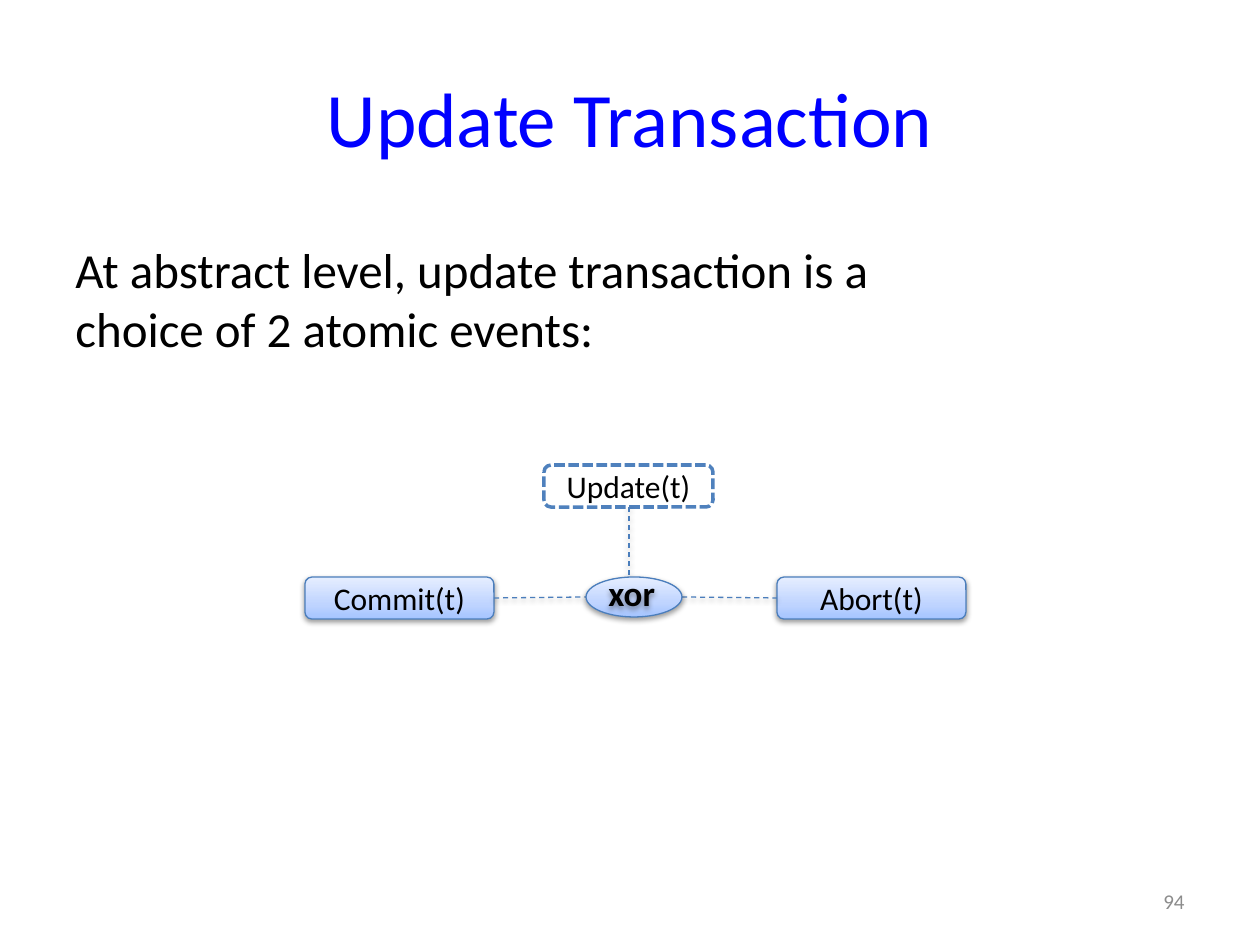
from dataclasses import dataclass

from lxml import etree
from pptx import Presentation
from pptx.dml.color import RGBColor
from pptx.enum.dml import MSO_LINE
from pptx.enum.shapes import MSO_CONNECTOR, MSO_SHAPE
from pptx.enum.text import MSO_ANCHOR, MSO_AUTO_SIZE, PP_ALIGN
from pptx.oxml.ns import qn
from pptx.util import Pt

LEFT, CENTER, RIGHT = PP_ALIGN.LEFT, PP_ALIGN.CENTER, PP_ALIGN.RIGHT
TOP, MIDDLE = MSO_ANCHOR.TOP, MSO_ANCHOR.MIDDLE
ROUNDED, OVAL = MSO_SHAPE.ROUNDED_RECTANGLE, MSO_SHAPE.OVAL
DASH, SQUARE_DASH = MSO_LINE.DASH, MSO_LINE.SQUARE_DOT
STRAIGHT = MSO_CONNECTOR.STRAIGHT
FIT_SHAPE, NO_FIT = MSO_AUTO_SIZE.SHAPE_TO_FIT_TEXT, MSO_AUTO_SIZE.NONE
BLANK_LAYOUT = 6
PX_PER_INCH = 126


@dataclass(frozen=True)
class Theme:
    font: str = "Calibri"
    title: str = "0000FF"
    text: str = "000000"
    number: str = "8C8C8C"
    paper: str = "FFFFFF"
    outline: str = "4B7EBC"
    accent: str = "4F81BD"
    gradient: tuple = ((0, "A4C4FF"), (35, "BFD4FF"), (100, "E6EEFF"))
    title_size: int = 44
    body_size: int = 28
    operator_size: int = 20
    event_size: int = 18
    number_size: int = 12


def emu(px):
    return round(px * 914400 / PX_PER_INCH)


def write_text(frame, text, *, size, color, font, align=LEFT, anchor=TOP,
               bold=False, wrap=True, fit=NO_FIT):
    """Write one paragraph for each line of text."""
    frame.word_wrap = wrap
    frame.auto_size = fit
    frame.vertical_anchor = anchor
    for index, line in enumerate(text.split("\n")):
        para = frame.paragraphs[0] if index == 0 else frame.add_paragraph()
        para.alignment = align
        span = para.add_run()
        span.text = line
        span.font.name = font
        span.font.size = Pt(size)
        span.font.bold = bold
        span.font.color.rgb = RGBColor.from_string(color)


class SlideBuilder:
    def __init__(self, slide, theme):
        self.slide = slide
        self.theme = theme

    def shadow(self, item):
        effects = etree.SubElement(item._element.spPr, qn("a:effectLst"))
        outer = etree.SubElement(effects, qn("a:outerShdw"), blurRad="40000",
                                 dist="20000", dir="5400000", rotWithShape="0")
        color = etree.SubElement(outer, qn("a:srgbClr"), val="000000")
        etree.SubElement(color, qn("a:alpha"), val="38000")

    def gradient(self, shape):
        shape.fill.gradient()
        shape.fill.gradient_angle = 90
        stops = shape._element.spPr.find(".//" + qn("a:gsLst"))
        for stop in list(stops):
            stops.remove(stop)
        for percent, value in self.theme.gradient:
            stop = etree.SubElement(stops, qn("a:gs"), pos=str(percent * 1000))
            etree.SubElement(stop, qn("a:srgbClr"), val=value)

    def stroke(self, line, color, width, dash=None):
        line.color.rgb = RGBColor.from_string(color)
        line.width = Pt(width)
        if dash is not None:
            line.dash_style = dash

    def text(self, area, text, **style):
        box = self.slide.shapes.add_textbox(*map(emu, area))
        write_text(box.text_frame, text, font=self.theme.font, **style)
        return box

    def node(self, kind, area, label="", abstract=False):
        theme = self.theme
        shape = self.slide.shapes.add_shape(kind, *map(emu, area))
        if abstract:
            shape.shadow.inherit = False
            shape.fill.solid()
            shape.fill.fore_color.rgb = RGBColor.from_string(theme.paper)
            self.stroke(shape.line, theme.accent, 2, SQUARE_DASH)
        else:
            self.gradient(shape)
            self.stroke(shape.line, theme.outline, 0.75)
            self.shadow(shape)
        if label:
            write_text(shape.text_frame, label, font=theme.font,
                       size=theme.event_size, color=theme.text,
                       align=CENTER, anchor=MIDDLE)

    def link(self, start, end):
        points = map(emu, (*start, *end))
        line = self.slide.shapes.add_connector(STRAIGHT, *points)
        self.stroke(line.line, self.theme.outline, 0.75, DASH)
        self.shadow(line)


def main():
    deck = Presentation()
    deck.slide_width, deck.slide_height = emu(1260), emu(945)
    theme = Theme()
    page = SlideBuilder(
        deck.slides.add_slide(deck.slide_layouts[BLANK_LAYOUT]), theme)

    # Heading and introduction
    page.text((63, 38, 1134, 157), "Update Transaction", size=theme.title_size,
              color=theme.title, align=CENTER, anchor=MIDDLE)
    page.text((63, 233, 827, 131),
              "At abstract level, update transaction is a\n"
              "choice of 2 atomic events:",
              size=theme.body_size, color=theme.text, wrap=False, fit=FIT_SHAPE)

    # Events
    for left, label in ((305, "Commit(t)"), (777, "Abort(t)")):
        page.node(ROUNDED, (left, 577, 189, 42), label)
    page.node(ROUNDED, (544, 465, 169, 42), "Update(t)", abstract=True)

    # Links from each event to the operator
    page.link((494, 598), (586, 597))
    page.link((682, 597), (777, 598))
    page.link((629, 507), (629, 577))

    # Exclusive choice operator
    page.node(OVAL, (586, 577, 96, 40))
    operator = page.text((596, 565, 108, 55), "xor", size=theme.operator_size,
                         color=theme.text, bold=True, fit=FIT_SHAPE)
    page.shadow(operator)

    # Slide number
    page.text((903, 876, 294, 50), "94", size=theme.number_size,
              color=theme.number, align=RIGHT, anchor=MIDDLE)

    deck.save("out.pptx")


if __name__ == "__main__":
    main()
